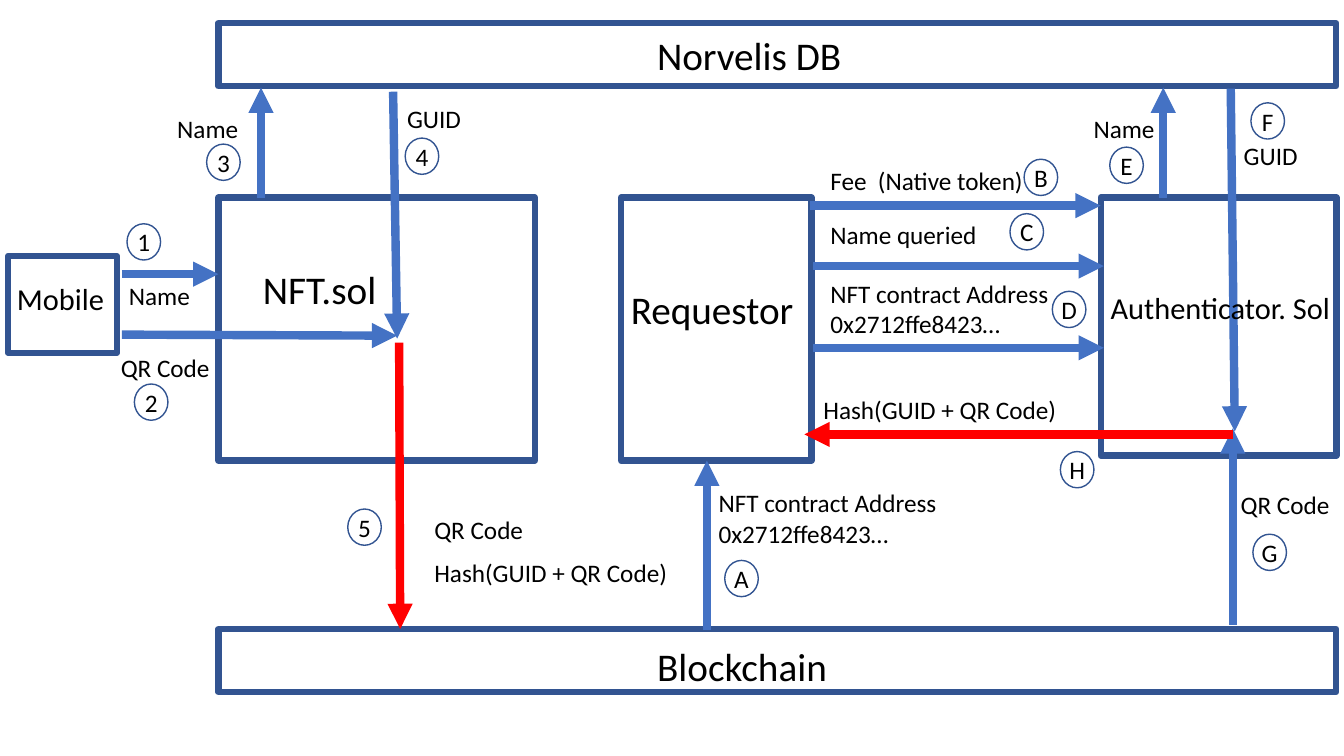
from lxml.etree import SubElement
from pptx import Presentation
from pptx.dml.color import RGBColor
from pptx.enum.shapes import MSO_CONNECTOR, MSO_SHAPE
from pptx.enum.text import MSO_ANCHOR, PP_ALIGN
from pptx.oxml.ns import qn
from pptx.util import Inches, Pt

COLORS = {"outline": "325491", "request": "4472C4", "result": "FF0000", "text": "000000"}
FONT = "Calibri"

presentation = Presentation()
presentation.slide_width = Inches(13.33)
presentation.slide_height = Inches(7.5)
slide = presentation.slides.add_slide(presentation.slide_layouts[6])

# Grid: 40 columns by 30 rows; every place below is counted in these
COLUMN = presentation.slide_width / 40
ROW = presentation.slide_height / 30


def place(left, top, width, height):
    return int(left * COLUMN), int(top * ROW), int(width * COLUMN), int(height * ROW)


def write(shape, text, size):
    shape.text_frame.text = text
    for paragraph in shape.text_frame.paragraphs:
        for run in paragraph.runs:
            run.font.name = FONT
            run.font.size = Pt(size)
            run.font.color.rgb = RGBColor.from_string(COLORS["text"])


# Systems (outlined boxes) and the numbered steps (circles)
BAR_LEFT, BAR_WIDTH, BOX_TOP = 6.5, 33.27, 7.84
STEP_WIDTH, STEP_HEIGHT = 1, 1.44
boxes = [
    (BAR_LEFT, 0.92, BAR_WIDTH, 2.5),       # database
    (BAR_LEFT, 24.96, BAR_WIDTH, 2.5),      # blockchain
    (0.24, 10.16, 3.24, 3.84),              # mobile
    (BAR_LEFT, BOX_TOP, 9.42, 10.44),       # NFT contract
    (18.48, BOX_TOP, 5.67, 10.44),          # requestor
    (32.76, BOX_TOP, 7.02, 10.24),          # authenticator
]
steps = [
    ("1", 3.78, 8.88), ("2", 4, 15.24), ("3", 6.15, 5.72), ("4", 12.06, 5.48),
    ("5", 10.35, 20.2), ("A", 21.57, 22.24), ("B", 30.48, 6.32), ("C", 30.06, 8.48),
    ("D", 31.32, 11.56), ("E", 33.03, 5.84), ("F", 37.23, 4.08), ("G", 37.29, 21.2),
    ("H", 31.56, 17.92),
]
outlines = [(MSO_SHAPE.RECTANGLE, box, 4.5, "") for box in boxes]
outlines += [(MSO_SHAPE.FLOWCHART_CONNECTOR, (left, top, STEP_WIDTH, STEP_HEIGHT), 1, name)
             for name, left, top in steps]
for kind, area, line_width, name in outlines:
    shape = slide.shapes.add_shape(kind, *place(*area))
    shape.shadow.inherit = False
    shape.fill.background()
    shape.line.color.rgb = RGBColor.from_string(COLORS["outline"])
    shape.line.width = Pt(line_width)
    if name:
        write(shape, name, 18)
        frame = shape.text_frame
        frame.margin_left = frame.margin_right = frame.margin_top = frame.margin_bottom = 0
        frame.vertical_anchor = MSO_ANCHOR.MIDDLE
        frame.word_wrap = False
        frame.paragraphs[0].alignment = PP_ALIGN.CENTER

# Arrows: start column and row, end column and row
arrows = [
    (3.63, 10.88, 6.5, 10.88, "request"),        # 1
    (3.63, 13.28, 11.82, 13.32, "request"),      # 2
    (7.77, 7.84, 7.77, 3.48, "request"),         # 3
    (11.7, 3.64, 11.82, 13.44, "request"),       # 4
    (11.88, 13.6, 11.91, 24.96, "result"),       # 5
    (21.04, 25, 21.04, 18.28, "request"),        # A
    (24.12, 8.16, 32.76, 8.16, "request"),       # B
    (24.21, 10.56, 32.85, 10.56, "request"),     # C
    (24.21, 13.8, 32.85, 13.8, "request"),       # D
    (34.62, 7.84, 34.62, 3.48, "request"),       # E
    (36.63, 3.52, 36.75, 17.12, "request"),      # F
    (36.69, 24.8, 36.69, 17, "request"),         # G
    (36.69, 17.24, 23.94, 17.24, "result"),      # H
]
for *ends, color in arrows:
    arrow = slide.shapes.add_connector(MSO_CONNECTOR.STRAIGHT, *place(*ends))
    arrow.line.color.rgb = RGBColor.from_string(COLORS[color])
    arrow.line.width = Pt(6)
    SubElement(arrow.line._get_or_add_ln(), qn("a:tailEnd"), type="triangle")
    SubElement(arrow._element.spPr, qn("a:effectLst"))

# System names: text, area, size, line spacing
titles = [
    ("Norvelis DB", (19.26, 1.24, 9.75, 2.52), 28, 0.9),
    ("Blockchain", (19.26, 25.52, 9.75, 2.52), 28, 0.9),
    ("NFT.sol", (7.53, 10.56, 5.61, 2.84), 28, 0.9),
    ("Requestor", (18.48, 11.32, 5.61, 4.76), 28, 0.9),
    ("Mobile", (0.21, 11.32, 3.36, 2.48), 21.7, 0.7),
    ("Authenticator. Sol", (32.76, 11.68, 7.24, 2.52), 21.7, 0.7),
]
for text, area, size, spacing in titles:
    title = slide.shapes.add_textbox(*place(*area))
    title.text_frame.word_wrap = True
    write(title, text, size)
    title.text_frame.paragraphs[0].line_spacing = spacing
    title.text_frame.paragraphs[0].space_before = Pt(10)

# Data carried by the arrows: text, left, top
LINE_HEIGHT = 1.6
CONTRACT = "NFT contract Address\n0x2712ffe8423…"
HASH = "Hash(GUID + QR Code)"
label_widths = {"Name": 2.43, "GUID": 2.22, "QR Code": 3.27, HASH: 7.62, CONTRACT: 7.62,
                "Fee  (Native token)": 6.42, "Name queried": 5.0}
labels = [
    ("Name", 3.54, 10.92), ("Name", 4.98, 4.32), ("Name", 32.25, 4.32),
    ("GUID", 11.82, 3.92), ("GUID", 36.72, 5.36),
    ("QR Code", 3.3, 13.8), ("QR Code", 12.63, 20.2), ("QR Code", 36.63, 19.24),
    (HASH, 12.63, 21.92), (HASH, 24.21, 15.44),
    (CONTRACT, 21.09, 19.16), (CONTRACT, 24.42, 10.84),
    ("Fee  (Native token)", 24.42, 6.36), ("Name queried", 24.42, 8.52),
]
for text, left, top in labels:
    height = LINE_HEIGHT * len(text.splitlines())
    label = slide.shapes.add_textbox(*place(left, top, label_widths[text], height))
    # Only the two-line label and the short query label need a fixed left edge
    label.text_frame.word_wrap = text in (CONTRACT, "Name queried")
    write(label, text, 18)

presentation.save("out.pptx")
